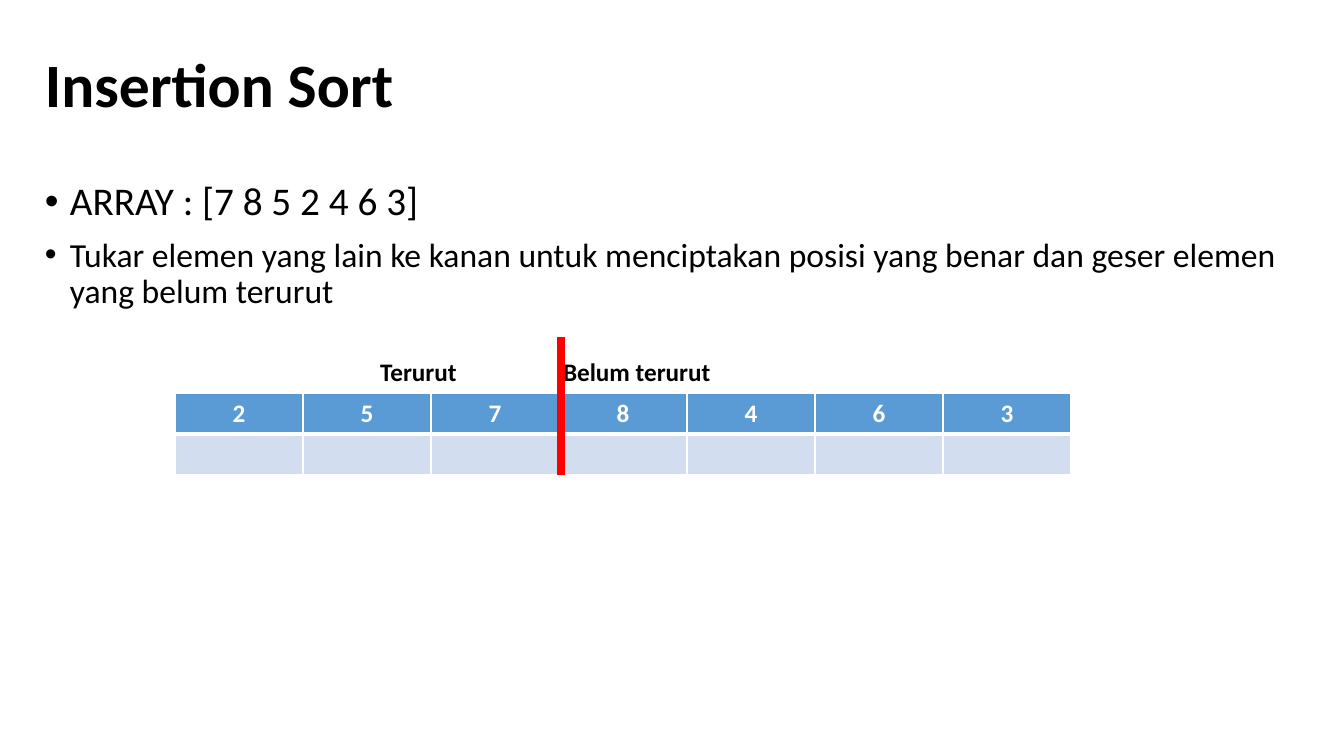
"""Build the Insertion Sort slide with its array table and sorted boundary."""
from pptx import Presentation
from pptx.dml.color import RGBColor
from pptx.enum.shapes import MSO_CONNECTOR as CONN
from pptx.enum.text import MSO_ANCHOR as ANCHOR, PP_ALIGN as ALIGN
from pptx.oxml.ns import qn
from pptx.util import Pt
from lxml.etree import SubElement

TITLE = "Insertion Sort"
BULLETS = [
    ("ARRAY : [7 8 5 2 4 6 3]", 28, 0),
    ("Tukar elemen yang lain ke kanan untuk menciptakan posisi yang benar "
     "dan geser elemen yang belum terurut", 24, 1),
]
ARRAY_ROWS = [["2", "5", "7", "8", "4", "6", "3"], [""] * 7]
ROW_FILLS = ["5B9BD5", "D2DEEF"]
ROW_EDGES = [{"L": 1, "R": 1, "T": 1, "B": 3}, {"L": 1, "R": 1, "T": 3, "B": 1}]
LABELS = [["Terurut", "Belum terurut"]]

FONT, BLACK, WHITE, RED = "Calibri", "000000", "FFFFFF", "FF0000"
W, H = 1344, 756
ROW_H = 41
ARRAY_X, ARRAY_Y, ARRAY_COL = 175, 393, 128
LABEL_X, LABEL_COL = 370, 183
DIVIDER_X, DIVIDER_TOP = 561, 337
INDENT = 25


def px(n):
    return round(n * 914400 / 100.8)


def rgb(value):
    return RGBColor.from_string(value)


def write(p, text, size=18, color=BLACK, bold=False, align=ALIGN.LEFT):
    p.alignment = align
    r = p.add_run()
    r.text = text
    r.font.name, r.font.size, r.font.bold = FONT, Pt(size), bold
    r.font.color.rgb = rgb(color)


def add_box(s, x, y, w, h, anchor):
    tf = s.shapes.add_textbox(px(x), px(y), px(w), px(h)).text_frame
    tf.word_wrap = True
    tf.vertical_anchor = anchor
    return tf


def add_bullet(p):
    pPr = p._p.get_or_add_pPr()
    pPr.set("marL", str(px(INDENT)))
    pPr.set("indent", str(-px(INDENT)))
    SubElement(pPr, qn("a:buFont"), typeface="Arial")
    SubElement(pPr, qn("a:buChar"), char="•")


def add_edges(cell, edges):
    tcPr = cell._tc.get_or_add_tcPr()
    for side, width in edges.items():
        ln = SubElement(tcPr, qn(f"a:ln{side}"), w=str(Pt(width)))
        fill = SubElement(ln, qn("a:solidFill"))
        SubElement(fill, qn("a:srgbClr"), val=WHITE)


def add_grid(s, rows, x, y, col_w):
    n, m = len(rows), len(rows[0])
    table = s.shapes.add_table(n, m, px(x), px(y), px(m * col_w), px(n * ROW_H)).table
    table.first_row = table.horz_banding = False
    for col in table.columns:
        col.width = px(col_w)
    for row in table.rows:
        row.height = px(ROW_H)
    return table


def main():
    prs = Presentation()
    prs.slide_width, prs.slide_height = px(W), px(H)
    s = prs.slides.add_slide(prs.slide_layouts[6])

    p = add_box(s, 35, 15, 1107, 146, ANCHOR.MIDDLE).paragraphs[0]
    p.line_spacing = 0.9
    write(p, TITLE, size=44, bold=True)

    tf = add_box(s, 35, 177, 1276, 509, ANCHOR.TOP)
    for i, (text, size, level) in enumerate(BULLETS):
        p = tf.add_paragraph() if i else tf.paragraphs[0]
        p.level, p.line_spacing, p.space_before = level, 0.9, Pt(10)
        write(p, text, size=size)
        add_bullet(p)

    table = add_grid(s, ARRAY_ROWS, ARRAY_X, ARRAY_Y, ARRAY_COL)
    for i, row in enumerate(ARRAY_ROWS):
        for j, value in enumerate(row):
            cell = table.cell(i, j)
            add_edges(cell, ROW_EDGES[i])
            cell.fill.solid()
            cell.fill.fore_color.rgb = rgb(ROW_FILLS[i])
            if value:
                write(cell.text_frame.paragraphs[0], value, color=WHITE, bold=True,
                      align=ALIGN.CENTER)

    table = add_grid(s, LABELS, LABEL_X, ARRAY_Y - ROW_H, LABEL_COL)
    for j, label in enumerate(LABELS[0]):
        cell = table.cell(0, j)
        cell.fill.background()
        write(cell.text_frame.paragraphs[0], label, bold=True)

    bottom = ARRAY_Y + len(ARRAY_ROWS) * ROW_H
    divider = s.shapes.add_connector(CONN.STRAIGHT, px(DIVIDER_X), px(DIVIDER_TOP),
                                     px(DIVIDER_X), px(bottom))
    divider.line.color.rgb = rgb(RED)
    divider.line.width = Pt(6)
    SubElement(divider._element.spPr, qn("a:effectLst"))

    prs.save("out.pptx")


if __name__ == "__main__":
    main()
